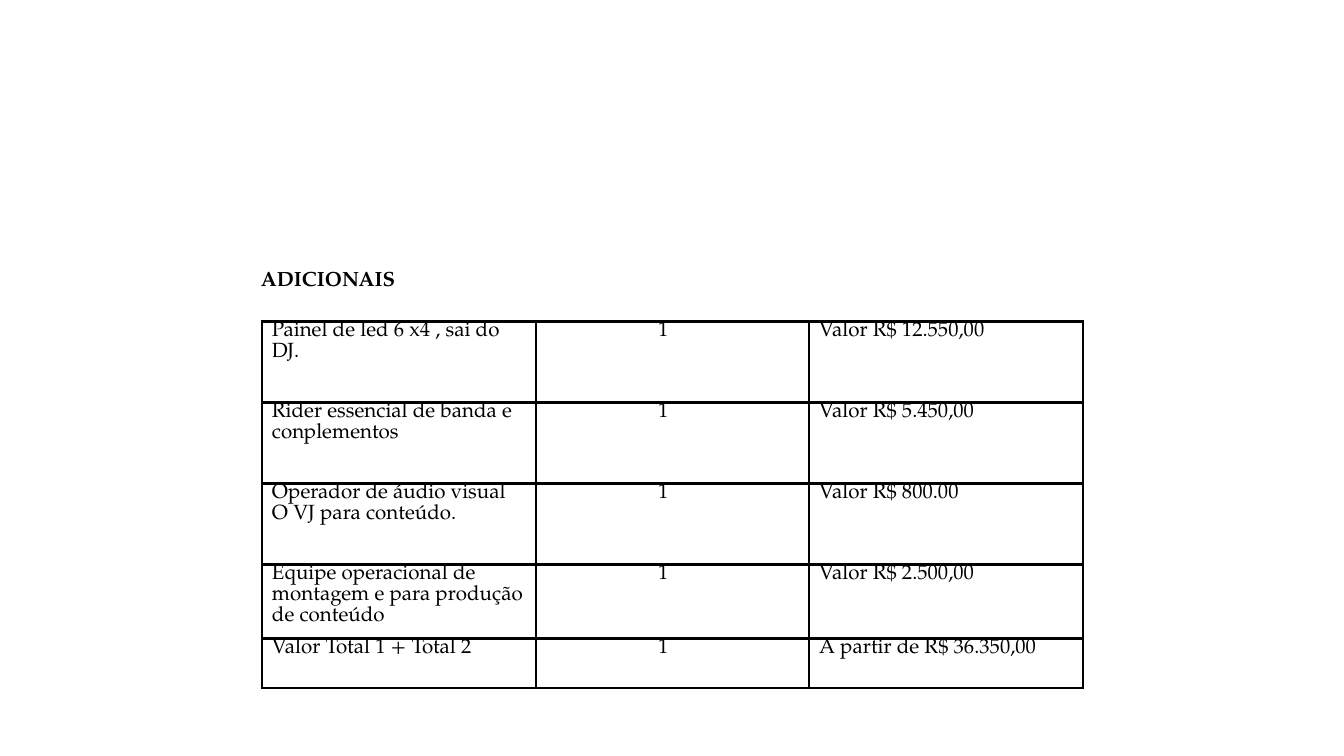
from lxml.etree import SubElement
from pptx import Presentation
from pptx.dml.color import RGBColor
from pptx.enum.text import MSO_ANCHOR
from pptx.oxml.ns import qn
from pptx.util import Cm, Pt

BLACK = RGBColor(0, 0, 0)
ITEMS = [
    ("Painel de led 6 x4 , sai do DJ.", "1", "Valor R$ 12.550,00"),
    ("Rider essencial de banda e conplementos", "1", "Valor R$ 5.450,00"),
    ("Operador de áudio visual O VJ para conteúdo.", "1", "Valor R$ 800.00"),
    ("Equipe operacional de montagem e para produção de conteúdo", "1",
     "Valor R$ 2.500,00"),
    ("Valor Total 1 + Total 2", "1", "A partir de R$ 36.350,00"),
]
COLUMNS = [5.18, 5.16, 5.18]
ROWS = [1.53, 1.53, 1.53, 1.22, 0.94]
LEFT_MARGINS = [0.19, 2.31, 0.19]


class Deck:
    font = "TeX Gyre Pagella"
    size = Pt(11)
    border = Pt(1.5)

    def __init__(self, prs):
        self.s = prs.slides.add_slide(prs.slide_layouts[6])

    def style(self, p, bold=False):
        p.font.name = self.font
        p.font.size = self.size
        p.font.bold = bold
        p.font.color.rgb = BLACK

    def heading(self, text, x, y, w, h):
        tf = self.s.shapes.add_textbox(Cm(x), Cm(y), Cm(w), Cm(h)).text_frame
        tf.word_wrap = True
        tf.vertical_anchor = MSO_ANCHOR.MIDDLE
        tf.margin_left = tf.margin_right = Cm(0.25)
        tf.margin_top = tf.margin_bottom = Cm(0.25)
        p = tf.paragraphs[0]
        p.text = text
        p.line_spacing = 1.08
        p.space_after = Pt(8)
        self.style(p, bold=True)

    def borders(self, cell):
        tcPr = cell._tc.get_or_add_tcPr()
        for side in ("a:lnL", "a:lnR", "a:lnT", "a:lnB"):
            ln = SubElement(tcPr, qn(side), w=str(self.border))
            fill = SubElement(ln, qn("a:solidFill"))
            SubElement(fill, qn("a:srgbClr"), val=str(BLACK))

    def cell(self, cell, text, left):
        cell.margin_left, cell.margin_right = Cm(left), Cm(0.19)
        cell.margin_top = cell.margin_bottom = 0
        self.borders(cell)
        cell.fill.background()
        p = cell.text_frame.paragraphs[0]
        p.text = text
        self.style(p)

    def table(self, rows, x, y, widths, heights, margins):
        table = self.s.shapes.add_table(
            len(rows), len(widths), Cm(x), Cm(y),
            Cm(sum(widths)), Cm(sum(heights))).table
        table.first_row = table.horz_banding = False
        for column, width in zip(table.columns, widths):
            column.width = Cm(width)
        for row, height, texts in zip(table.rows, heights, rows):
            row.height = Cm(height)
            for cell, text, left in zip(row.cells, texts, margins):
                self.cell(cell, text, left)


def main():
    prs = Presentation()
    prs.slide_width, prs.slide_height = Cm(25.4), Cm(14.28)
    deck = Deck(prs)
    deck.heading("ADICIONAIS", 4.68, 4.42, 8.33, 1.65)
    deck.table(ITEMS, 4.95, 6.07, COLUMNS, ROWS, LEFT_MARGINS)
    prs.save("out.pptx")


if __name__ == "__main__":
    main()
